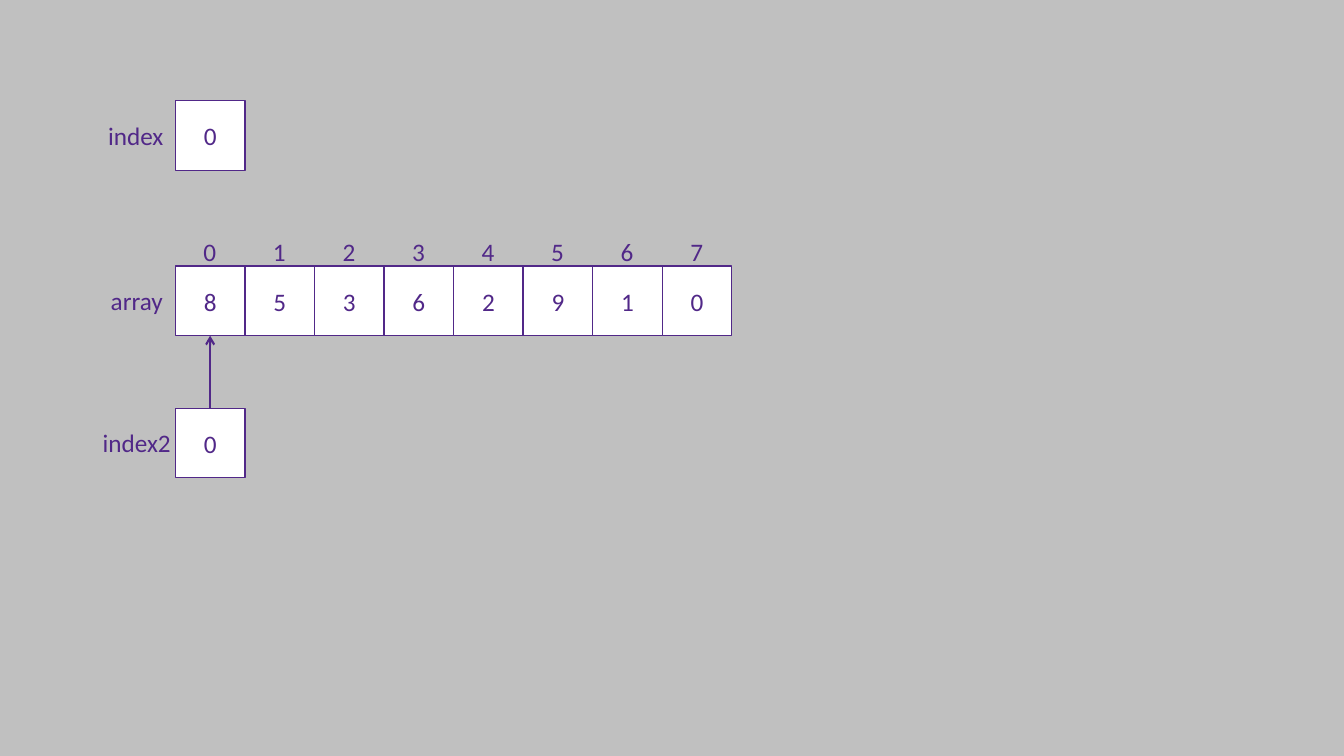
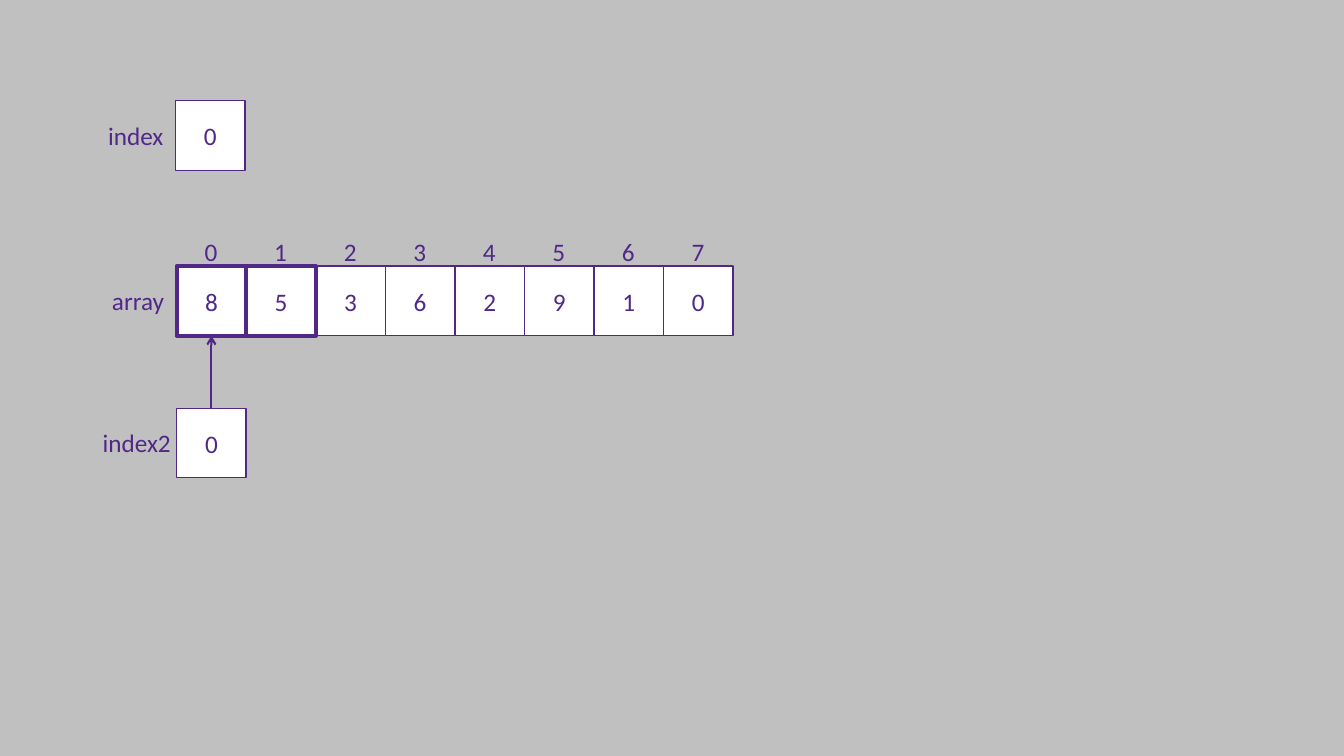
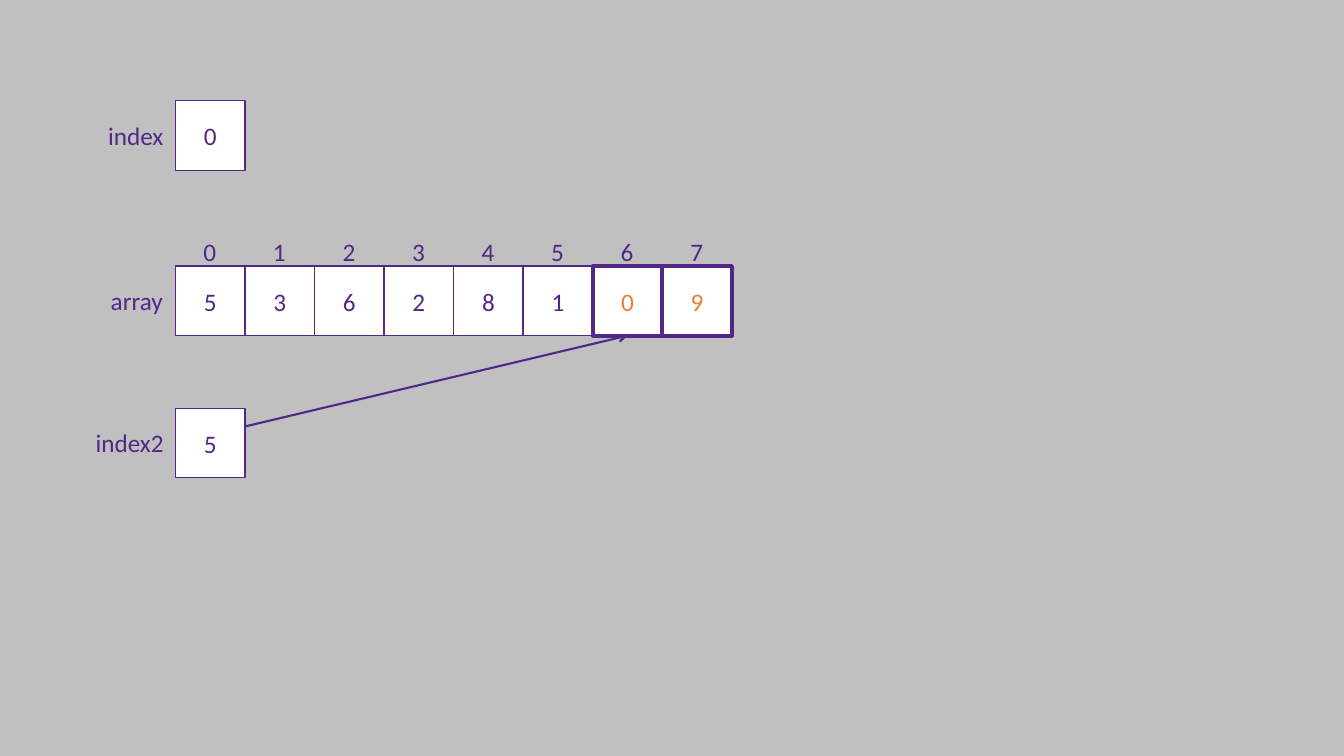
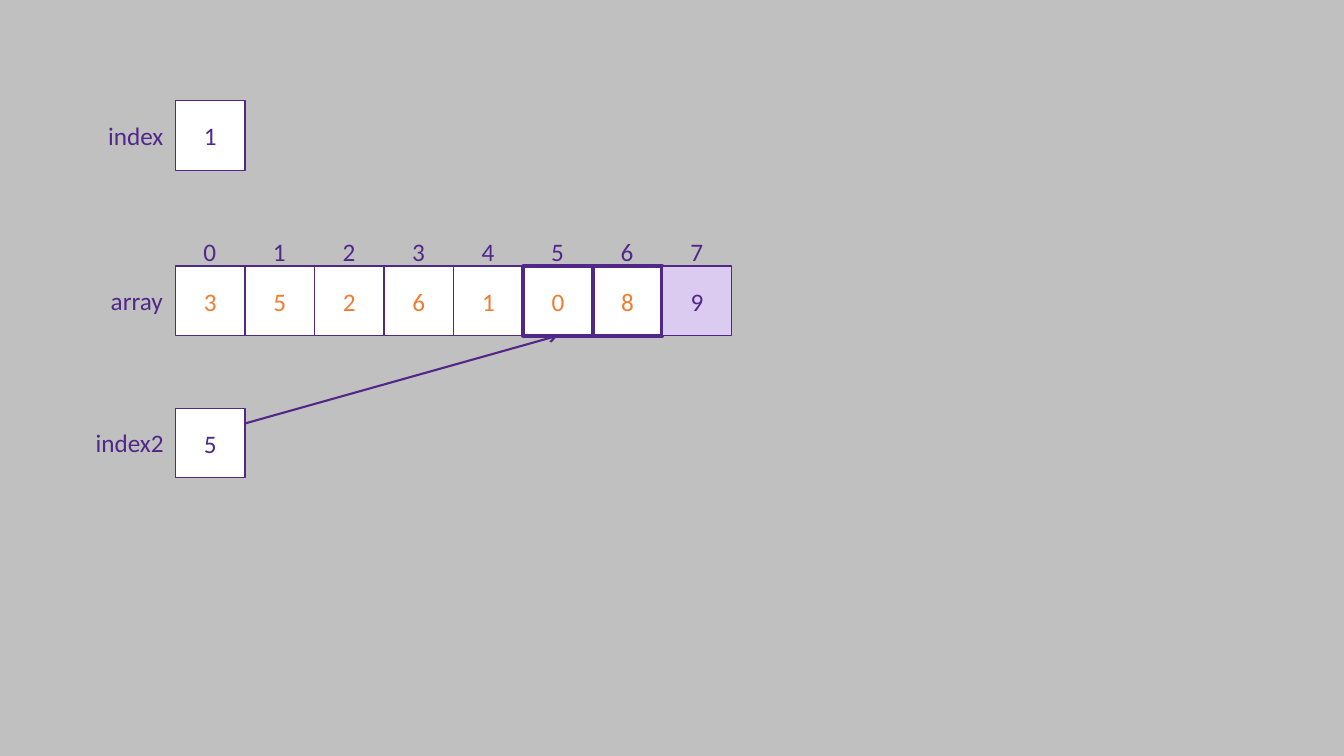
from dataclasses import dataclass, field

from lxml.etree import SubElement
from pptx import Presentation
from pptx.dml.color import RGBColor
from pptx.enum.shapes import MSO_CONNECTOR, MSO_SHAPE
from pptx.enum.text import MSO_ANCHOR, MSO_AUTO_SIZE, PP_ALIGN
from pptx.oxml.ns import qn
from pptx.shapes.shapetree import GroupShapes, SlideShapes
from pptx.text.text import TextFrame
from pptx.util import Pt

Shapes = SlideShapes | GroupShapes

# Shared look
PURPLE, ORANGE, LILAC = "512888", "ED7D31", "DBCBF0"
WHITE, GREY = "FFFFFF", "C0C0C0"
FONT = {"name": "Calibri", "size": Pt(18)}
THIN, THICK, ARROW = 1, 3, 1.5

# Shared grid, in points
CELL = 49.68
LEFT = 125.28
INDEX_TOP, ARRAY_TOP, POINTER_TOP = 72, 190.08, 291.6
NUMBER_TOP, NUMBER_WIDTH = 165.6, 23.76
LABEL_HEIGHT, LABEL_DROP = 28.8, 10.44


@dataclass(frozen=True)
class Label:
    text: str
    left: float
    top: float
    width: float
    wrap: bool = False
    align: PP_ALIGN = PP_ALIGN.LEFT


@dataclass(frozen=True)
class Cell:
    text: str
    left: float
    top: float
    color: str = PURPLE
    fill: str = WHITE
    border: float = THIN


@dataclass(frozen=True)
class Step:
    """One state of the sort: the pair at target is being compared."""
    values: str
    index: str
    pointer: str
    target: int
    pointer_label: Label
    compared: tuple[int, ...] = ()
    swapped: tuple[int, ...] = ()
    settled: tuple[int, ...] = ()
    front: int = field(default=-1)  # cell drawn on top of its neighbours
    shift: float = 0


INDEX_LABEL = Label("index", 66.24, INDEX_TOP + LABEL_DROP, 57.6, True, PP_ALIGN.RIGHT)
WIDE_POINTER = Label("index2", 66.24, POINTER_TOP + LABEL_DROP, 70.56, True)
SNUG_POINTER = Label("index2", 61.2, POINTER_TOP + LABEL_DROP, 64.08)

STEPS = [
    Step("85362910", "0", "0", 0, WIDE_POINTER),
    Step("85362910", "0", "0", 0, WIDE_POINTER, compared=(0, 1), front=1, shift=0.9),
    Step("53628109", "0", "5", 6, SNUG_POINTER, compared=(6, 7), swapped=(6, 7)),
    Step("35261089", "1", "5", 5, SNUG_POINTER, compared=(5, 6),
         swapped=tuple(range(7)), settled=(7,), front=5),
]


def rgb(color: str) -> RGBColor:
    return RGBColor.from_string(color)


def write(frame: TextFrame, text: str, align: PP_ALIGN, color: str = PURPLE) -> None:
    para = frame.paragraphs[0]
    para.alignment = align
    span = para.add_run()
    span.text = text
    for name, value in FONT.items():
        setattr(span.font, name, value)
    span.font.color.rgb = rgb(color)


def draw_label(shapes: Shapes, label: Label) -> None:
    box = shapes.add_textbox(Pt(label.left), Pt(label.top), Pt(label.width), Pt(LABEL_HEIGHT))
    box.text_frame.word_wrap = label.wrap
    box.text_frame.auto_size = MSO_AUTO_SIZE.SHAPE_TO_FIT_TEXT
    write(box.text_frame, label.text, label.align)


def draw_cell(shapes: Shapes, cell: Cell) -> None:
    box = shapes.add_shape(MSO_SHAPE.RECTANGLE, Pt(cell.left), Pt(cell.top), Pt(CELL), Pt(CELL))
    box.shadow.inherit = False
    box.fill.solid()
    box.fill.fore_color.rgb = rgb(cell.fill)
    box.line.color.rgb = rgb(PURPLE)
    box.line.width = Pt(cell.border)
    box.text_frame.vertical_anchor = MSO_ANCHOR.MIDDLE
    write(box.text_frame, cell.text, PP_ALIGN.CENTER, cell.color)


def draw_arrow(shapes: Shapes, start: tuple[float, float], end: tuple[float, float]) -> None:
    arrow = shapes.add_connector(MSO_CONNECTOR.STRAIGHT, *(Pt(value) for value in start + end))
    arrow.line.color.rgb = rgb(PURPLE)
    arrow.line.width = Pt(ARROW)
    SubElement(arrow.line._get_or_add_ln(), qn("a:tailEnd"), type="arrow")
    SubElement(arrow._element.spPr, qn("a:effectLst"))


def draw_array(shapes: Shapes, step: Step, left: float) -> None:
    order = sorted(range(len(step.values)), key=lambda place: place == step.front)
    for place in order:
        draw_cell(shapes, Cell(
            step.values[place], left + place * CELL, ARRAY_TOP,
            color=ORANGE if place in step.swapped else PURPLE,
            fill=LILAC if place in step.settled else WHITE,
            border=THICK if place in step.compared else THIN))


def draw_step(shapes: SlideShapes, step: Step) -> None:
    left = LEFT + step.shift
    group = shapes.add_group_shape().shapes
    tip = (left + (step.target + 0.5) * CELL, ARRAY_TOP + CELL)

    # Array and arrow: a slanted arrow runs behind the cells
    if step.target:
        draw_arrow(group, (left, POINTER_TOP + CELL / 2), tip)
    draw_array(group, step, left)
    if not step.target:
        draw_arrow(group, (tip[0], POINTER_TOP), tip)

    # Pointer, labels and cell numbers
    draw_cell(group, Cell(step.pointer, left, POINTER_TOP))
    draw_label(group, Label("array", 72 + step.shift, ARRAY_TOP + LABEL_DROP, 51.84))
    draw_label(group, step.pointer_label)
    for place in range(len(step.values)):
        number_left = left + place * CELL + (CELL - NUMBER_WIDTH) / 2
        draw_label(group, Label(str(place), number_left, NUMBER_TOP, NUMBER_WIDTH))

    # Outer index
    draw_label(shapes, INDEX_LABEL)
    draw_cell(shapes, Cell(step.index, LEFT, INDEX_TOP))


def main() -> None:
    deck = Presentation()
    deck.slide_width, deck.slide_height = Pt(960), Pt(540)
    background = deck.slide_master.background.fill
    background.solid()
    background.fore_color.rgb = rgb(GREY)
    blank = deck.slide_layouts[6]
    for step in STEPS:
        page = deck.slides.add_slide(blank)
        draw_step(page.shapes, step)
    deck.save("out.pptx")


if __name__ == "__main__":
    main()
